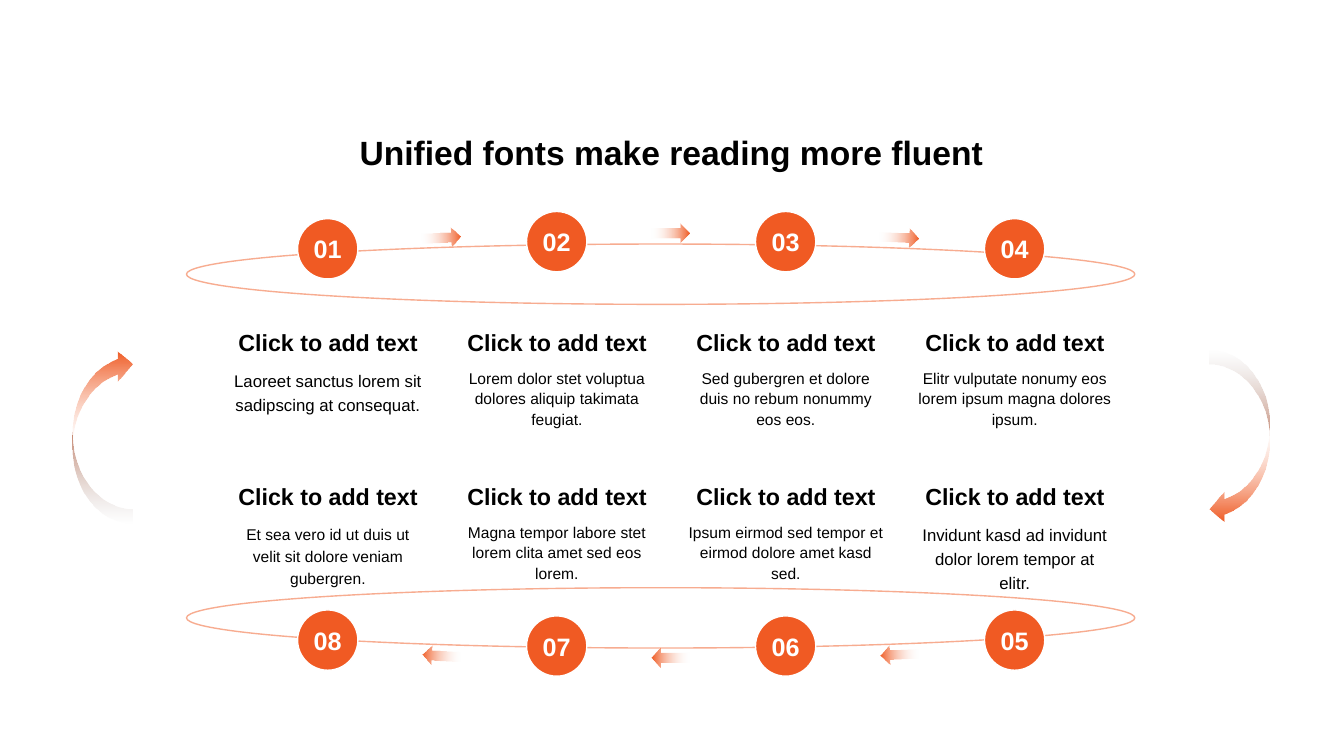
import lxml.etree
import pptx
import pptx.dml.color
import pptx.enum.shapes
import pptx.enum.text
import pptx.oxml.ns
import pptx.util

Cm = pptx.util.Cm
SHAPE = pptx.enum.shapes.MSO_SHAPE
ANCHOR = pptx.enum.text.MSO_ANCHOR
ORANGE, PALE, WHITE, BLACK = "F05A23", "FEF7F4", "FFFFFF", "000000"


def rgb(value):
    return pptx.dml.color.RGBColor.from_string(value)


class CyclePage:
    """Style and drawing methods for the slide being built."""

    font = "Arial"

    def __init__(self, page):
        self.page = page

    def shape(self, kind, left, top, width, height):
        shape = self.page.shapes.add_shape(kind, Cm(left), Cm(top), Cm(width), Cm(height))
        shape.shadow.inherit = False
        shape.fill.background()
        shape.line.fill.background()
        return shape

    def outline(self, shape, color):
        shape.line.color.rgb = rgb(color)
        shape.line.width = pptx.util.Pt(1)

    def set_alpha(self, shape, percent):
        color = shape._element.spPr.find(".//" + pptx.oxml.ns.qn("a:srgbClr"))
        alpha = lxml.etree.SubElement(color, pptx.oxml.ns.qn("a:alpha"))
        alpha.set("val", str(percent * 1000))

    def set_text(self, box, text, size, color=BLACK, bold=True, anchor=ANCHOR.TOP,
                 spacing=None, wrap=True):
        frame = box.text_frame
        frame.word_wrap = wrap
        frame.vertical_anchor = anchor
        frame.text = text
        para = frame.paragraphs[0]
        para.alignment = pptx.enum.text.PP_ALIGN.CENTER
        if spacing:
            para.line_spacing = spacing
        span = para.runs[0]
        span.font.name = self.font
        span.font.size = pptx.util.Pt(size)
        span.font.bold = bold
        span.font.color.rgb = rgb(color)

    def text(self, left, top, width, height, text, size, **style):
        box = self.page.shapes.add_textbox(Cm(left), Cm(top), Cm(width), Cm(height))
        self.set_text(box, text, size, **style)

    def ring(self, top):
        ring = self.shape(SHAPE.OVAL, 4.7, top, 23.9, 1.52)
        self.outline(ring, ORANGE)
        self.set_alpha(ring, 50)

    def arrow(self, kind, left, top, width, height, angle=0, turn=0, flips=()):
        arrow = self.shape(kind, left, top, width, height)
        arrow.fill.gradient()
        arrow.fill.gradient_angle = angle
        for stop, color in zip(arrow.fill.gradient_stops, (PALE, ORANGE)):
            stop.color.rgb = rgb(color)
        self.set_alpha(arrow, 0)
        arrow.rotation = turn
        for flip in flips:
            arrow._element.spPr.xfrm.set(flip, "1")

    def title(self, text):
        box = self.shape(SHAPE.ROUNDED_RECTANGLE, 1.83, 3.15, 30.18, 1.8)
        box.adjustments[0] = 0.08
        self.set_text(box, text, 24)

    def badge(self, left, top, number):
        badge = self.shape(SHAPE.OVAL, left, top, 1.52, 1.52)
        badge.fill.solid()
        badge.fill.fore_color.rgb = rgb(ORANGE)
        self.outline(badge, WHITE)
        self.set_text(badge, f"{number:02d}", 18, color=WHITE, anchor=ANCHOR.MIDDLE,
                      wrap=False)

    def step(self, column, top, badge_top, number, body, size, spacing):
        left = 5.56 + 5.77 * column
        self.badge(left + 1.94, badge_top, number)
        self.text(left, top + 1.32, 5.41, 1.78, body, size, bold=False, spacing=spacing)
        self.text(left, top, 5.41, 1.3, "Click to add text", 16.6, anchor=ANCHOR.BOTTOM)


STEPS = [
    ("Laoreet sanctus lorem sit sadipscing at consequat.", 12, 1.2),
    ("Lorem dolor stet voluptua dolores aliquip takimata feugiat.", 11.1, 1.1),
    ("Sed gubergren et dolore duis no rebum nonummy eos eos.", 11.1, 1.1),
    ("Elitr vulputate nonumy eos lorem ipsum magna dolores ipsum.", 11.1, 1.1),
    ("Invidunt kasd ad invidunt dolor lorem tempor at elitr.", 12, 1.2),
    ("Ipsum eirmod sed tempor et eirmod dolore amet kasd sed.", 11.1, 1.1),
    ("Magna tempor labore stet lorem clita amet sed eos lorem.", 11.1, 1.1),
    ("Et sea vero id ut duis ut velit sit dolore veniam gubergren.", 11.1, 1.2),
]
TOP_ARROWS = [(5.74, 357), (5.64, 0), (5.74, 2.9)]
BOTTOM_ARROWS = [(16.28, 3.3), (16.33, 0), (16.26, 357.1)]


def main():
    deck = pptx.Presentation()
    deck.slide_width, deck.slide_height = Cm(33.87), Cm(19.05)
    cycle = CyclePage(deck.slides.add_slide(deck.slide_layouts[6]))

    for top in (6.15, 14.81):
        cycle.ring(top)
    for left, flips in ((30.48, ()), (1.83, ("flipH", "flipV"))):
        cycle.arrow(SHAPE.CURVED_LEFT_ARROW, left, 8.81, 1.52, 4.39, angle=270, flips=flips)
    cycle.title("Unified fonts make reading more fluent")
    for arrows, flips in ((TOP_ARROWS, ()), (BOTTOM_ARROWS, ("flipH",))):
        for gap, (top, turn) in enumerate(arrows):
            cycle.arrow(SHAPE.RIGHT_ARROW, 10.64 + 5.77 * gap, top, 0.97, 0.48,
                        turn=turn, flips=flips)

    for index, (body, size, spacing) in enumerate(STEPS):
        upper = index < 4
        column = index if upper else 7 - index
        outer = column in (0, 3)
        if upper:
            top, badge_top = 7.8, 5.51 if outer else 5.33
        else:
            top, badge_top = 11.68, 15.37 if outer else 15.52
        cycle.step(column, top, badge_top, index + 1, body, size, spacing)

    deck.save("out.pptx")


if __name__ == "__main__":
    main()
